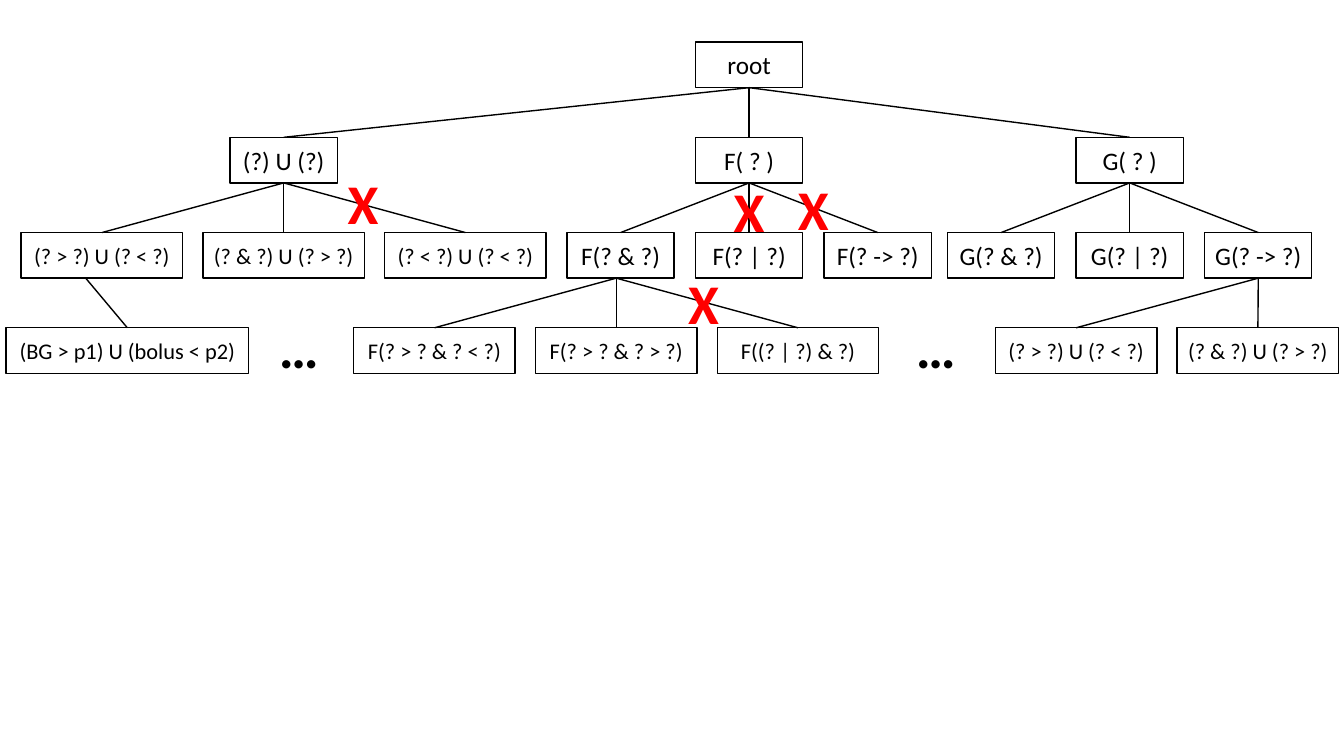
import pptx
import pptx.util
import pptx.dml.color
import pptx.enum.shapes
import pptx.enum.text
import pptx.oxml.ns
import lxml.etree

Cm, Pt = pptx.util.Cm, pptx.util.Pt
ALIGN = pptx.enum.text.PP_ALIGN
ANCHOR = pptx.enum.text.MSO_ANCHOR
BLACK = pptx.dml.color.RGBColor(0x00, 0x00, 0x00)
WHITE = pptx.dml.color.RGBColor(0xFF, 0xFF, 0xFF)
RED = pptx.dml.color.RGBColor(0xFF, 0x00, 0x00)
FONT = "Calibri"

# Box styles: width in cm, text size in points
SHORT, LONG, WIDE = (2.7, 18), (4.07, 16), (6.12, 16)

# Tree rows, all lengths in cm
ROW_TOP, ROW_STEP, BOX_HEIGHT = 1.06, 2.4, 1.15
SHORT_STEP, LONG_STEP = 3.24, 4.58

ROOT = ("root", 18.88)

# Parent, row, box style, x where the branches start (None: middle of the
# parent), children as (text, centre x)
BRANCHES = [
    ("root", 1, SHORT, None,
     [("(?) U (?)", 7.15), ("F( ? )", 18.88), ("G( ? )", 28.47)]),
    ("F( ? )", 2, SHORT, None,
     [("F(? & ?)", 18.88 - SHORT_STEP), ("F(? | ?)", 18.88),
      ("F(? -> ?)", 18.88 + SHORT_STEP)]),
    ("G( ? )", 2, SHORT, None,
     [("G(? & ?)", 28.47 - SHORT_STEP), ("G(? | ?)", 28.47),
      ("G(? -> ?)", 28.47 + SHORT_STEP)]),
    ("(?) U (?)", 2, LONG, None,
     [("(? > ?) U (? < ?)", 7.15 - LONG_STEP), ("(? & ?) U (? > ?)", 7.15),
      ("(? < ?) U (? < ?)", 7.15 + LONG_STEP)]),
    ("F(? & ?)", 3, LONG, 15.53,
     [("F(? > ? & ? < ?)", 15.53 - LONG_STEP), ("F(? > ? & ? > ?)", 15.53),
      ("F((? | ?) & ?)", 15.53 + LONG_STEP)]),
    ("(? > ?) U (? < ?)", 3, WIDE, 2.16, [("(BG > p1) U (bolus < p2)", 3.21)]),
    ("G(? -> ?)", 3, LONG, None,
     [("(? > ?) U (? < ?)", 31.7 - LONG_STEP), ("(? & ?) U (? > ?)", 31.7)]),
]

# Text, colour, box width, (left, top) positions
MARKS = [
    ("X", RED, 1.3, [(19.86, 4.27), (18.24, 4.32), (8.51, 4.11), (17.09, 6.63)]),
    ("…", BLACK, 1.52, [(6.78, 7.75), (22.83, 7.75)]),
]
MARK_HEIGHT = 1.96


def write(sp, text, size, color=BLACK, bold=False, align=ALIGN.CENTER,
          anchor=ANCHOR.MIDDLE):
    """Put one formatted line of text into a shape."""
    tf = sp.text_frame
    tf.word_wrap = False
    tf.vertical_anchor = anchor
    p = tf.paragraphs[0]
    p.alignment = align
    r = p.add_run()
    r.text = text
    r.font.name, r.font.size, r.font.bold = FONT, Pt(size), bold
    r.font.color.rgb = color


def add_node(text, center, row, style):
    """Draw one box of the tree."""
    width, size = style
    sp = s.shapes.add_shape(
        pptx.enum.shapes.MSO_SHAPE.RECTANGLE, Cm(center - width / 2),
        Cm(ROW_TOP + row * ROW_STEP), Cm(width), Cm(BOX_HEIGHT))
    sp.shadow.inherit = False
    sp.fill.solid()
    sp.fill.fore_color.rgb = WHITE
    sp.line.color.rgb = BLACK
    sp.line.width = Pt(1)
    write(sp, text, size)
    return sp


def add_branch(parent, child, start):
    """Join a parent's lower edge to the top of its child."""
    line = s.shapes.add_connector(
        pptx.enum.shapes.MSO_CONNECTOR.STRAIGHT, Cm(start or 0),
        parent.top + parent.height, 0, 0)
    if start is None:
        line.begin_connect(parent, 2)
    line.end_connect(child, 0)
    line.line.color.rgb = BLACK
    line.line.width = Pt(1)
    lxml.etree.SubElement(line._element.spPr, pptx.oxml.ns.qn("a:effectLst"))


def add_mark(text, color, left, top, width):
    """Draw a large bold sign over the tree."""
    sp = s.shapes.add_textbox(Cm(left), Cm(top), Cm(width), Cm(MARK_HEIGHT))
    write(sp, text, 40, color=color, bold=True, align=ALIGN.LEFT,
          anchor=ANCHOR.TOP)
    sp.text_frame.auto_size = pptx.enum.text.MSO_AUTO_SIZE.SHAPE_TO_FIT_TEXT


prs = pptx.Presentation()
prs.slide_width, prs.slide_height = Cm(33.87), Cm(19.05)
s = prs.slides.add_slide(prs.slide_layouts[6])

nodes = {ROOT[0]: add_node(*ROOT, 0, SHORT)}
for parent, row, style, start, children in BRANCHES:
    for text, center in children:
        child = add_node(text, center, row, style)
        add_branch(nodes[parent], child, start)
        nodes[text] = child

for text, color, width, places in MARKS:
    for left, top in places:
        add_mark(text, color, left, top, width)

prs.save("out.pptx")
